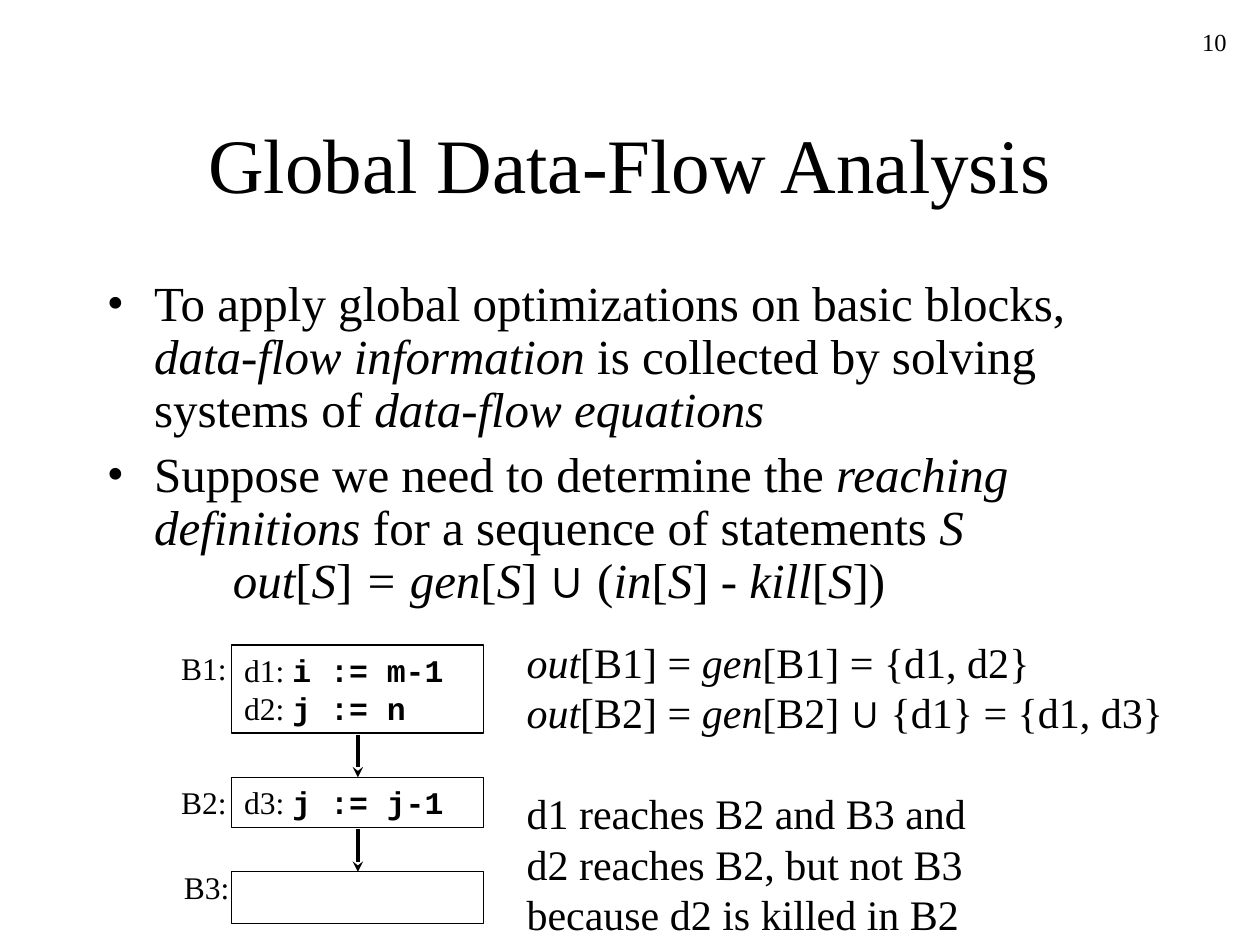
from itertools import pairwise

from lxml.etree import SubElement
from pptx import Presentation
from pptx.dml.color import RGBColor
from pptx.enum.shapes import MSO_CONNECTOR as Connector, MSO_SHAPE as Shape
from pptx.enum.text import MSO_ANCHOR as Anchor, PP_ALIGN as Align
from pptx.oxml.ns import qn
from pptx.util import Pt

INTRO = ("To apply global optimizations on basic blocks, |data-flow information| "
         "is collected by solving systems of |data-flow equations")
REACHING = ("Suppose we need to determine the |reaching definitions| for a sequence of "
            "statements |S\n\tout|[|S|]| = gen|[|S|] ∪ (|in|[|S|] -| kill|[|S|])")
EQUATIONS = ("|out|[B1] = |gen|[B1] = {d1, d2}\n"
             "|out|[B2] = |gen|[B2] ∪ {d1} = {d1, d3}")
CONCLUSION = ("d1 reaches B2 and B3 and\nd2 reaches B2, but not B3\n"
              "because d2 is killed in B2")
BLOCKS = [
    ("B1:", 96.5, 367.2, 368.6, 50.4, "d1: |i := m-1|\nd2: |j := n"),
    ("B2:", 96.5, 444.2, 444.2, 28.8, "d3: |j := j-1"),
    ("B3:", 98, 492.5, 498.2, 29.5, ""),
]
BLOCK_LEFT, BLOCK_WIDTH = 132.5, 144


def color(value):
    return RGBColor.from_string(value)


class SlideBuilder:
    """Holds the style and the current slide, and draws each kind of element."""

    ink = "000000"
    serif, mono, symbol = "Times New Roman", "Courier New", "Arial"

    def __init__(self, page):
        self.page = page

    def paragraphs(self, frame, texts, size, code=False, gap=0, align=Align.LEFT, bullets=False):
        for index, text in enumerate(texts):
            para = frame.add_paragraph() if index else frame.paragraphs[0]
            if bullets:
                self.bullet(para)
                para.line_spacing = 0.9
            para.alignment = align
            if index:
                para.space_before = Pt(gap)
            self.spans(para, text, size, code)

    def spans(self, para, text, size, code):
        for index, piece in enumerate(text.split("|")):
            marked = index % 2 == 1
            for number, line in enumerate(piece.split("\n")):
                if number:
                    para.add_line_break()
                for part in filter(None, line.partition("∪")):
                    span = para.add_run()
                    span.text = part
                    font = span.font
                    font.size = Pt(size)
                    font.color.rgb = color(self.ink)
                    font.bold = marked and code
                    font.italic = marked and not code
                    font.name = self.serif
                    if part == "∪":
                        font.name = self.symbol
                    elif marked and code:
                        font.name = self.mono

    def bullet(self, para):
        properties = para._p.get_or_add_pPr()
        properties.set("marL", str(Pt(27)))
        properties.set("indent", str(Pt(-27)))
        SubElement(properties, qn("a:buFont"), typeface=self.serif)
        SubElement(properties, qn("a:buChar"), char="•")
        tabs = SubElement(properties, qn("a:tabLst"))
        SubElement(tabs, qn("a:tab"), pos=str(Pt(72)), algn="l")

    def text(self, left, top, width, height, texts, size, wrap=True, anchor=Anchor.TOP, **style):
        box = self.page.shapes.add_textbox(Pt(left), Pt(top), Pt(width), Pt(height))
        frame = box.text_frame
        frame.word_wrap = wrap
        frame.vertical_anchor = anchor
        self.paragraphs(frame, texts, size, **style)

    def block(self, left, top, width, height, text):
        box = self.page.shapes.add_shape(
            Shape.RECTANGLE, Pt(left), Pt(top), Pt(width), Pt(height))
        box.shadow.inherit = False
        box.fill.background()
        box.line.color.rgb = color(self.ink)
        box.line.width = Pt(0.75)
        box.text_frame.vertical_anchor = Anchor.TOP
        self.paragraphs(box.text_frame, [text], 18, code=True)

    def arrow(self, x, start, end):
        line = self.page.shapes.add_connector(
            Connector.STRAIGHT, Pt(x), Pt(start), Pt(x), Pt(end))
        line.line.color.rgb = color(self.ink)
        line.line.width = Pt(2)
        SubElement(line.line._get_or_add_ln(), qn("a:tailEnd"), type="stealth")
        SubElement(line._element.spPr, qn("a:effectLst"))


def main():
    deck = Presentation()
    deck.slide_width, deck.slide_height = Pt(720), Pt(540)
    builder = SlideBuilder(deck.slides.add_slide(deck.slide_layouts[6]))

    builder.text(54, 48, 612, 90, ["Global Data-Flow Analysis"], 44,
                 anchor=Anchor.MIDDLE, align=Align.CENTER)
    builder.text(54, 156, 612, 324, [INTRO, REACHING], 28, gap=7, bullets=True)

    for label, label_left, label_top, top, height, code in BLOCKS:
        builder.block(BLOCK_LEFT, top, BLOCK_WIDTH, height, code)
        builder.text(label_left, label_top, 40.3, 28.8, [label], 18, wrap=False)
    for upper, lower in pairwise(BLOCKS):
        builder.arrow(BLOCK_LEFT + BLOCK_WIDTH / 2, upper[3] + upper[4] + 0.8, lower[3])

    builder.text(293.8, 360, 379.4, 180, [EQUATIONS, CONCLUSION], 24, wrap=False, gap=29)
    builder.text(558, 12, 150, 36, ["10"], 14, align=Align.RIGHT)
    deck.save("out.pptx")


if __name__ == "__main__":
    main()
